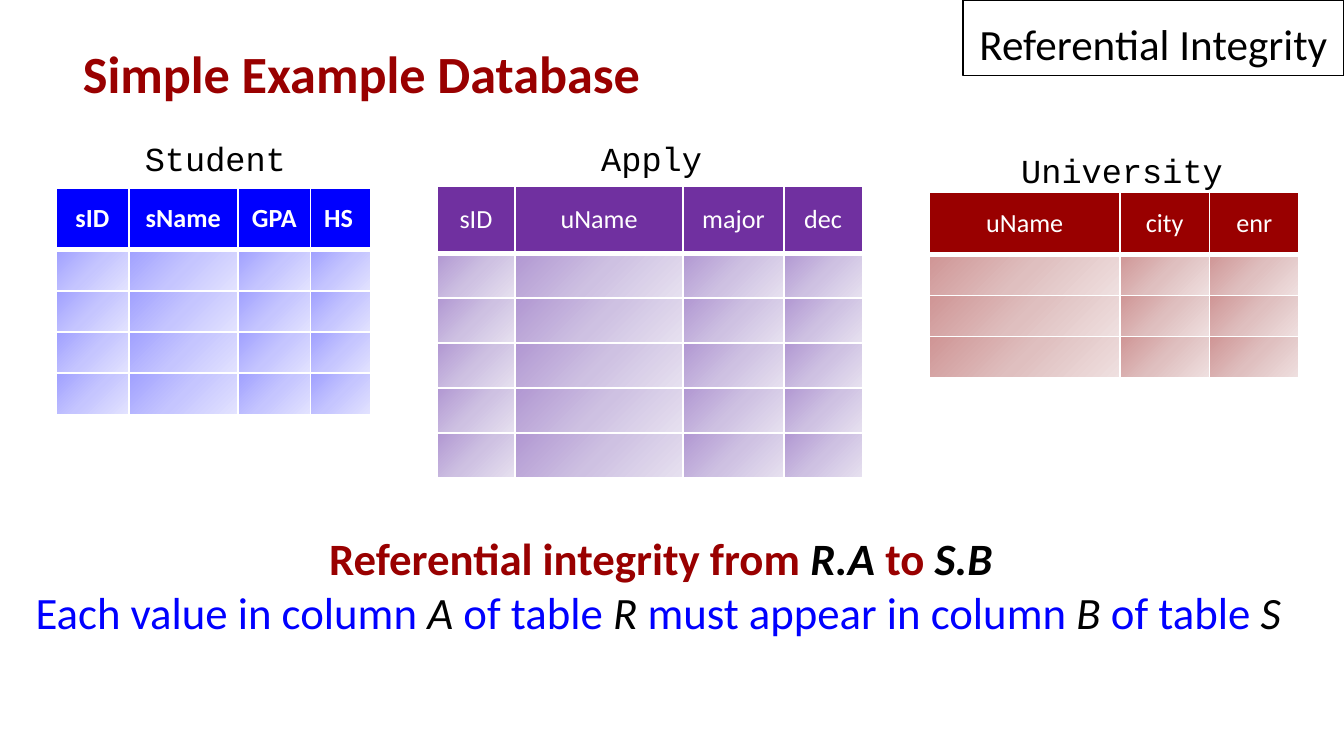
from dataclasses import dataclass

import lxml.etree
import pptx
import pptx.dml.color
import pptx.enum.shapes
import pptx.enum.text
import pptx.oxml
import pptx.oxml.ns
import pptx.util

COLUMNS, ROWS = 240, 135  # slide grid
UNIT = pptx.util.Inches(10) / COLUMNS
LEFT = pptx.enum.text.PP_ALIGN.LEFT
CENTER = pptx.enum.text.PP_ALIGN.CENTER
TOP = pptx.enum.text.MSO_ANCHOR.TOP
MIDDLE = pptx.enum.text.MSO_ANCHOR.MIDDLE
FIT = pptx.enum.text.MSO_AUTO_SIZE.SHAPE_TO_FIT_TEXT
RED, BLUE, PURPLE, BLACK, WHITE = "990000", "0000FF", "7030A0", "000000", "FFFFFF"


@dataclass
class Area:
    left: float
    top: float
    width: float
    height: float

    def lengths(self) -> list[int]:
        return [grid(n) for n in (self.left, self.top, self.width, self.height)]


@dataclass
class Style:
    size: float
    color: str = BLACK
    bold: bool = False
    italic: bool = False
    font: str = "Calibri"


@dataclass
class Relation:
    name: str
    label: Area
    label_wraps: bool
    left: float
    top: float
    attributes: list[str]
    widths: list[float]
    header_height: float
    row_height: float
    empty_rows: int
    color: str
    shades: list[str]
    bold: bool = False
    last_align: pptx.enum.text.PP_ALIGN = CENTER


RELATIONS = [
    Relation("University", Area(180, 25.5, 41.6, 9.7), False, 166, 34.4,
             ["uName", "city", "enr"], [34, 16, 16], 11, 7.36, 3,
             RED, ["CF9595", "DFBFBF", "EFE0E0"]),
    Relation("Student", Area(23.5, 23.5, 30.5, 9.7), False, 10, 33.6,
             ["sID", "sName", "GPA", "HS"], [13, 19.5, 13, 10.8], 11, 7.36, 4,
             BLUE, ["A0A0FF", "C5C5FF", "E3E3FF"], True, LEFT),
    Relation("Apply", Area(105, 23.5, 27, 9.7), True, 78, 33.2,
             ["sID", "uName", "major", "dec"], [14, 30, 18, 14], 12, 8.05, 5,
             PURPLE, ["B197D2", "CEC1E2", "E7E1F0"]),
]


def grid(count: float) -> int:
    return round(count * UNIT)


def rgb(color: str) -> pptx.dml.color.RGBColor:
    return pptx.dml.color.RGBColor.from_string(color)


def format_span(span, style: Style) -> None:
    span.font.name = style.font
    span.font.size = pptx.util.Pt(style.size)
    span.font.bold = style.bold
    span.font.italic = style.italic
    span.font.color.rgb = rgb(style.color)


def write(para, text: str, style: Style, align=LEFT) -> None:
    para.text = text
    para.alignment = align
    format_span(para.runs[0], style)


def add_text_box(page, area: Area, wraps: bool = True):
    box = page.shapes.add_textbox(*area.lengths())
    box.text_frame.word_wrap = wraps
    box.text_frame.auto_size = FIT
    return box.text_frame


def add_borders(cell, bottom: float) -> None:
    """Draw white edges, 1 point wide except for the bottom one."""
    properties = cell._tc.get_or_add_tcPr()
    for edge, width in (("lnL", 1), ("lnR", 1), ("lnT", 1), ("lnB", bottom)):
        line = pptx.oxml.parse_xml(
            f'<a:{edge} {pptx.oxml.ns.nsdecls("a")} w="{pptx.util.Pt(width)}">'
            f'<a:solidFill><a:srgbClr val="{WHITE}"/></a:solidFill></a:{edge}>')
        properties.append(line)


def shade(cell, colors: list[str]) -> None:
    """Fill with evenly spaced colours, running to the lower right."""
    step = 100000 // (len(colors) - 1)
    stops = "".join(f'<a:gs pos="{i * step}"><a:srgbClr val="{color}"/></a:gs>'
                    for i, color in enumerate(colors))
    cell._tc.get_or_add_tcPr().append(pptx.oxml.parse_xml(
        f'<a:gradFill {pptx.oxml.ns.nsdecls("a")} rotWithShape="1">'
        f'<a:gsLst>{stops}</a:gsLst><a:lin ang="2700000" scaled="0"/></a:gradFill>'))


def shrink_empty_line(cell) -> None:
    """Keep the empty line from stretching its row."""
    end = lxml.etree.SubElement(cell.text_frame.paragraphs[0]._p,
                                pptx.oxml.ns.qn("a:endParaRPr"))
    end.set("sz", "1000")


def add_relation(page, relation: Relation) -> None:
    heights = [relation.header_height] + [relation.row_height] * relation.empty_rows
    area = Area(relation.left, relation.top, sum(relation.widths), sum(heights))
    table = page.shapes.add_table(len(heights), len(relation.widths),
                                  *area.lengths()).table
    for column, width in zip(table.columns, relation.widths):
        column.width = grid(width)
    for row, height in zip(table.rows, heights):
        row.height = grid(height)

    for column, attribute in enumerate(relation.attributes):
        header = table.cell(0, column)
        is_last = column == len(relation.attributes) - 1
        align = relation.last_align if is_last else CENTER
        write(header.text_frame.paragraphs[0], attribute,
              Style(14, WHITE, relation.bold), align)
        header.vertical_anchor = MIDDLE
        if align == CENTER:
            header.margin_left = header.margin_right = pptx.util.Inches(0.05)
        add_borders(header, bottom=3)
        header.fill.solid()
        header.fill.fore_color.rgb = rgb(relation.color)
        for row in range(1, len(heights)):
            cell = table.cell(row, column)
            add_borders(cell, bottom=1)
            shade(cell, relation.shades)
            shrink_empty_line(cell)

    label = add_text_box(page, relation.label, relation.label_wraps)
    write(label.paragraphs[0], relation.name, Style(18, font="Courier New"))


def add_topic(page) -> None:
    box = page.shapes.add_shape(pptx.enum.shapes.MSO_SHAPE.RECTANGLE,
                                *Area(172, 0, 68, 13.5).lengths())
    box.shadow.inherit = False
    box.fill.background()
    box.line.color.rgb = rgb(BLACK)
    box.line.width = pptx.util.Pt(0.75)
    box.text_frame.word_wrap = True
    box.text_frame.vertical_anchor = pptx.enum.text.MSO_ANCHOR.BOTTOM
    write(box.text_frame.paragraphs[0], "Referential Integrity", Style(23.1), CENTER)


def write_rule(para, parts: list[str], color: str, bold: bool, align) -> None:
    """Write plain words in a colour, alternating with black italic symbols."""
    para.alignment = align
    for index, part in enumerate(parts):
        span = para.add_run()
        span.text = part
        is_symbol = index % 2 == 1
        format_span(span, Style(24, BLACK if is_symbol else color, bold, is_symbol))


def add_definition(page) -> None:
    frame = add_text_box(page, Area(4, 93.6, 228, 21.8))
    write_rule(frame.paragraphs[0],
               ["Referential integrity from ", "R.A", " to ", "S.B"], RED, True, CENTER)
    write_rule(frame.add_paragraph(),
               ["Each value in column ", "A", " of table ", "R",
                " must appear in column ", "B", " of table ", "S"], BLUE, False, LEFT)


def set_title(page) -> None:
    title = page.shapes.title
    title.left, title.top, title.width, title.height = Area(10, 7.5, 220, 14).lengths()
    frame = title.text_frame
    frame.vertical_anchor = TOP
    frame.word_wrap = True
    frame.auto_size = pptx.enum.text.MSO_AUTO_SIZE.NONE
    para = frame.paragraphs[0]
    write(para, "Simple Example Database", Style(28, RED, True))
    para.line_spacing = 0.9
    para.space_after = pptx.util.Pt(6)
    properties = para._p.get_or_add_pPr()
    properties.set("marL", str(pptx.util.Inches(0.3)))
    properties.set("indent", str(pptx.util.Inches(-0.2)))


def main() -> None:
    deck = pptx.Presentation()
    deck.slide_width, deck.slide_height = grid(COLUMNS), grid(ROWS)
    page = deck.slides.add_slide(deck.slide_layouts.get_by_name("Title Only"))
    set_title(page)
    for relation in RELATIONS:
        add_relation(page, relation)
    add_topic(page)
    add_definition(page)
    deck.save("out.pptx")


if __name__ == "__main__":
    main()
